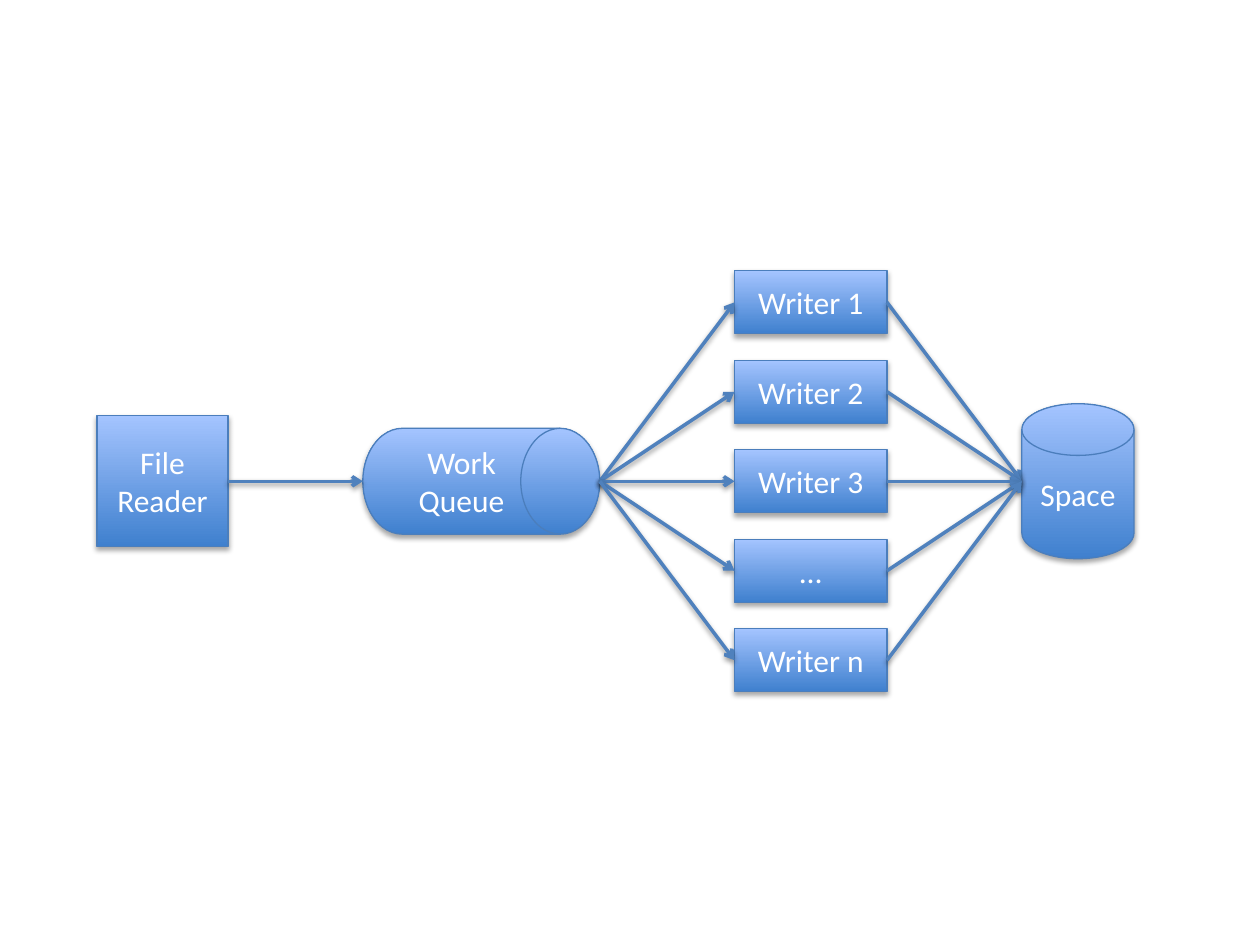
from dataclasses import dataclass

from lxml.etree import SubElement
from pptx import Presentation
from pptx.dml.color import RGBColor
from pptx.enum.shapes import MSO_CONNECTOR as Connector, MSO_SHAPE as Shape
from pptx.enum.text import MSO_ANCHOR as Anchor, PP_ALIGN as Align
from pptx.oxml.ns import qn
from pptx.util import Inches, Pt

# Lengths are percentages of the slide's width (x) and height (y).
SLIDE_WIDTH, SLIDE_HEIGHT = Inches(10), Inches(7.5)
AXIS = 50.93
LEFT_MARGIN = 7.7
STAGE_GAP = 10.7
WRITER_PITCH = 9.47
WRITERS = ("Writer 1", "Writer 2", "Writer 3", "…", "Writer n")

GRADIENT = ("3F80CE", "A4C4FF")
OUTLINE = "4B7EBC"
ARROW = "4F81BD"


@dataclass(frozen=True)
class Node:
    label: str
    kind: Shape
    left: float
    width: float
    height: float
    middle: float = AXIS

    @property
    def right(self) -> float:
        return self.left + self.width


def across(share: float) -> int:
    return round(SLIDE_WIDTH * share / 100)


def down(share: float) -> int:
    return round(SLIDE_HEIGHT * share / 100)


def rgb(color: str) -> RGBColor:
    return RGBColor.from_string(color)


def add_shadow(shape, opacity: int, distance: float) -> None:
    """Cast a soft black shadow straight down; call after setting the line."""
    effects = SubElement(shape._element.spPr, qn("a:effectLst"))
    shadow = SubElement(effects, qn("a:outerShdw"), blurRad=str(Pt(3.1)),
                        dist=str(Pt(distance)), dir="5400000", rotWithShape="0")
    black = SubElement(shadow, qn("a:srgbClr"), val="000000")
    SubElement(black, qn("a:alpha"), val=str(opacity * 1000))


def draw_node(shapes, node: Node) -> None:
    box = shapes.add_shape(node.kind, across(node.left),
                           down(node.middle - node.height / 2),
                           across(node.width), down(node.height))
    box.fill.gradient()
    box.fill.gradient_angle = 90
    for stop, color in zip(box.fill.gradient_stops, GRADIENT):
        stop.color.rgb = rgb(color)
    box.line.color.rgb = rgb(OUTLINE)
    box.line.width = Pt(0.75)
    add_shadow(box, 35, 1.8)

    frame = box.text_frame
    frame.word_wrap = True
    frame.vertical_anchor = Anchor.MIDDLE
    paragraph = frame.paragraphs[0]
    paragraph.alignment = Align.CENTER
    label = paragraph.add_run()
    label.text = node.label
    for name, value in {"name": "Calibri", "size": Pt(18)}.items():
        setattr(label.font, name, value)
    label.font.color.rgb = rgb("FFFFFF")


def draw_arrow(shapes, source: Node, target: Node) -> None:
    arrow = shapes.add_connector(Connector.STRAIGHT,
                                 across(source.right), down(source.middle),
                                 across(target.left), down(target.middle))
    arrow.line.color.rgb = rgb(ARROW)
    arrow.line.width = Pt(2)
    SubElement(arrow.line._get_or_add_ln(), qn("a:tailEnd"), type="arrow")
    add_shadow(arrow, 38, 1.6)


def main() -> None:
    deck = Presentation()
    deck.slide_width, deck.slide_height = SLIDE_WIDTH, SLIDE_HEIGHT
    shapes = deck.slides.add_slide(deck.slide_layouts[6]).shapes

    reader = Node("File Reader", Shape.FLOWCHART_PROCESS, LEFT_MARGIN, 10.4, 13.87)
    queue = Node("Work Queue", Shape.FLOWCHART_DIRECT_ACCESS_STORAGE,
                 reader.right + STAGE_GAP, 18.8, 11.2)
    writers = [
        Node(label, Shape.FLOWCHART_PROCESS, queue.right + STAGE_GAP, 12.1, 6.67,
             AXIS + (row - len(WRITERS) // 2) * WRITER_PITCH)
        for row, label in enumerate(WRITERS)
    ]
    space = Node("Space", Shape.FLOWCHART_MAGNETIC_DISK,
                 writers[0].right + STAGE_GAP, 8.9, 16.4)

    for node in (queue, reader, space):
        draw_node(shapes, node)
    writer_group = shapes.add_group_shape().shapes
    for writer in writers:
        draw_node(writer_group, writer)

    draw_arrow(shapes, reader, queue)
    for writer in writers:
        draw_arrow(shapes, queue, writer)
        draw_arrow(shapes, writer, space)

    deck.save("out.pptx")


if __name__ == "__main__":
    main()
